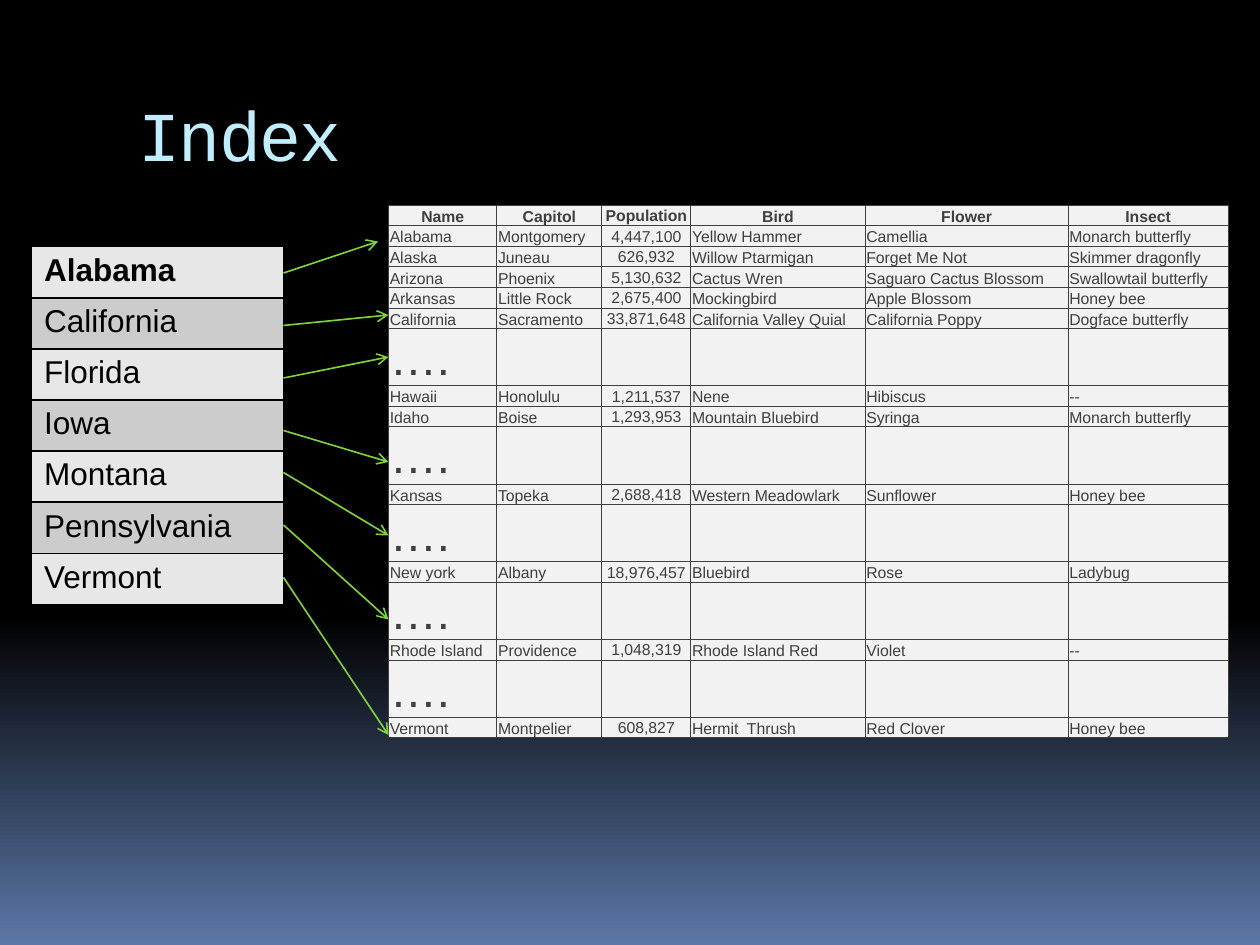
from lxml.etree import SubElement
from pptx import Presentation
from pptx.dml.color import RGBColor
from pptx.enum.shapes import MSO_CONNECTOR
from pptx.enum.text import MSO_ANCHOR, MSO_AUTO_SIZE, PP_ALIGN
from pptx.oxml.ns import qn
from pptx.util import Inches, Pt

UNIT = Inches(1) // 12
COLUMNS, ROWS = 120, 90
INDEX_RIGHT, STATES_LEFT = 27, 37

INDEX = ["Alabama", "California", "Florida", "Iowa", "Montana", "Pennsylvania", "Vermont"]
INDEX_ROW = 4.87

GAP = ["…."]
STATES = [
    ["Name", "Capitol", "Population", "Bird", "Flower", "Insect"],
    ["Alabama", "Montgomery", "4,447,100", "Yellow Hammer", "Camellia", "Monarch butterfly"],
    ["Alaska", "Juneau", "626,932", "Willow Ptarmigan", "Forget Me Not", "Skimmer dragonfly"],
    ["Arizona", "Phoenix", "5,130,632", "Cactus Wren", "Saguaro Cactus Blossom", "Swallowtail butterfly"],
    ["Arkansas", "Little Rock", "2,675,400", "Mockingbird", "Apple Blossom", "Honey bee"],
    ["California", "Sacramento", "33,871,648", "California Valley Quial", "California Poppy", "Dogface butterfly"],
    GAP,
    ["Hawaii", "Honolulu", "1,211,537", "Nene", "Hibiscus", "--"],
    ["Idaho", "Boise", "1,293,953", "Mountain Bluebird", "Syringa", "Monarch butterfly"],
    GAP,
    ["Kansas", "Topeka", "2,688,418", "Western Meadowlark", "Sunflower", "Honey bee"],
    GAP,
    ["New york", "Albany", "18,976,457", "Bluebird", "Rose", "Ladybug"],
    GAP,
    ["Rhode Island", "Providence", "1,048,319", "Rhode Island Red", "Violet", "--"],
    GAP,
    ["Vermont", "Montpelier", "608,827", "Hermit  Thrush", "Red Clover", "Honey bee"],
]
STATE_WIDTHS = [10.32, 10, 8.48, 16.6, 19.34, 15.24]
STATE_ROW, GAP_ROW = 1.96, 5.45
POPULATION = 2

POINTERS = [(26, 36, 23), (31, 37, 30), (36, 37, 34), (41, 37, 44),
            (45, 37, 51), (50, 37, 59), (55, 37, 70)]


def grid(count):
    return round(count * UNIT)


def color(value):
    return RGBColor.from_string(value)


def write(frame, text, size, ink, font="Arial", bold=False, align=PP_ALIGN.LEFT, spacing=None):
    paragraph = frame.paragraphs[0]
    paragraph.alignment = align
    run = paragraph.add_run()
    run.text = text
    run.font.name = font
    run.font.size = Pt(size)
    run.font.bold = bold
    run.font.color.rgb = color(ink)
    if spacing is not None:
        run.font._element.set("spc", str(spacing * 100))


def paint_background(slide):
    fill = slide.background.fill
    fill.gradient()
    fill.gradient_angle = 270
    for stop, position, shade in zip(fill.gradient_stops, (0.65, 1), ("000000", "5B77A8")):
        stop.position = position
        stop.color.rgb = color(shade)


def add_title(slide, text):
    title = slide.shapes.title
    title.left, title.top, title.width, title.height = map(grid, (12, 6.7, 102, 12))
    frame = title.text_frame
    frame.auto_size = MSO_AUTO_SIZE.NONE
    frame.vertical_anchor = MSO_ANCHOR.MIDDLE
    write(frame, text, 40, "C1EEFF", font="Courier New", spacing=-1)


def add_grid_table(slide, left, top, widths, heights):
    frame = slide.shapes.add_table(len(heights), len(widths), grid(left), grid(top),
                                   grid(sum(widths)), grid(sum(heights)))
    table = frame.table
    table.first_row = table.horz_banding = False
    for column, width in zip(table.columns, widths):
        column.width = grid(width)
    for row, height in zip(table.rows, heights):
        row.height = grid(height)
    return table


def style_cell(cell, background, border, border_width):
    properties = cell._tc.get_or_add_tcPr()
    for side in ("lnL", "lnR", "lnT", "lnB"):
        edge = SubElement(properties, qn(f"a:{side}"), w=str(Pt(border_width)))
        solid = SubElement(edge, qn("a:solidFill"))
        SubElement(solid, qn("a:srgbClr"), val=border)
    cell.fill.solid()
    cell.fill.fore_color.rgb = color(background)


def add_index(slide):
    table = add_grid_table(slide, 3, 23.5, [INDEX_RIGHT - 3], [INDEX_ROW] * len(INDEX))
    for number, state in enumerate(INDEX):
        cell = table.cell(number, 0)
        style_cell(cell, "CCCCCC" if number % 2 else "E7E7E7", "000000", 1)
        write(cell.text_frame, state, 18, "000000", bold=number == 0)


def add_states(slide):
    heights = [GAP_ROW if record is GAP else STATE_ROW for record in STATES]
    table = add_grid_table(slide, STATES_LEFT, 19.55, STATE_WIDTHS, heights)
    for cell in table.iter_cells():
        style_cell(cell, "F2F2F2", "3F3F3F", 0.5)
    for number, record in enumerate(STATES):
        header = number == 0
        for field, text in enumerate(record):
            cell = table.cell(number, field)
            cell.margin_left = cell.margin_right = cell.margin_top = Inches(0.01)
            cell.margin_bottom = 0
            numeric = field == POPULATION
            cell.vertical_anchor = MSO_ANCHOR.MIDDLE if numeric else MSO_ANCHOR.BOTTOM
            write(cell.text_frame, text, 27 if record is GAP else 9, "3F3F3F", bold=header,
                  align=PP_ALIGN.CENTER if header or numeric else PP_ALIGN.LEFT)


def add_pointer(slide, start_row, end_column, end_row):
    pointer = slide.shapes.add_connector(MSO_CONNECTOR.STRAIGHT, grid(INDEX_RIGHT), grid(start_row),
                                         grid(end_column), grid(end_row))
    pointer.line.color.rgb = color("7FD13B")
    pointer.line.width = Pt(0.94)
    SubElement(pointer.line._get_or_add_ln(), qn("a:tailEnd"), type="arrow")
    SubElement(pointer._element.spPr, qn("a:effectLst"))


def main():
    deck = Presentation()
    deck.slide_width, deck.slide_height = grid(COLUMNS), grid(ROWS)
    slide = deck.slides.add_slide(deck.slide_layouts[5])
    paint_background(slide)
    add_title(slide, "Index")
    add_index(slide)
    add_states(slide)
    for pointer in POINTERS:
        add_pointer(slide, *pointer)
    deck.save("out.pptx")


if __name__ == "__main__":
    main()
